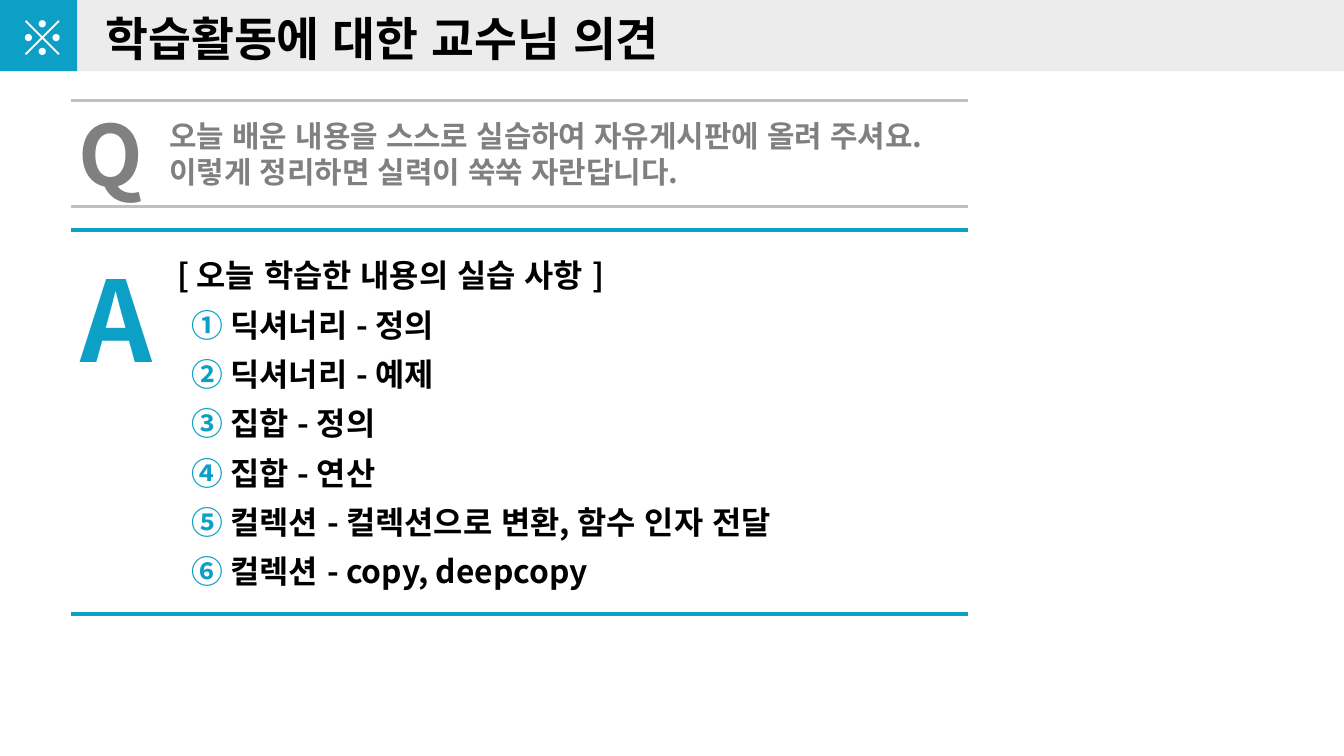
from lxml import etree
from pptx import Presentation
from pptx.dml.color import RGBColor
from pptx.enum.lang import MSO_LANGUAGE_ID
from pptx.enum.shapes import MSO_CONNECTOR, MSO_SHAPE
from pptx.enum.text import MSO_ANCHOR, MSO_AUTO_SIZE, PP_ALIGN
from pptx.oxml.ns import qn
from pptx.util import Pt

PX = 4572
FONT = "Noto Sans CJK KR"
TEAL = RGBColor(0x0C, 0xA0, 0xC7)
PALE = RGBColor(0xEC, 0xEC, 0xEC)
SILVER = RGBColor(0xBF, 0xBF, 0xBF)
GRAY = RGBColor(0x80, 0x80, 0x80)
BLACK = RGBColor(0, 0, 0)
WHITE = RGBColor(0xFF, 0xFF, 0xFF)
RECT = MSO_SHAPE.RECTANGLE
STRAIGHT = MSO_CONNECTOR.STRAIGHT
KOREAN = MSO_LANGUAGE_ID.KOREAN
TOP, MIDDLE = MSO_ANCHOR.TOP, MSO_ANCHOR.MIDDLE
LEFT, CENTER = PP_ALIGN.LEFT, PP_ALIGN.CENTER
GROW, FIXED = MSO_AUTO_SIZE.SHAPE_TO_FIT_TEXT, MSO_AUTO_SIZE.NONE

prs = Presentation()
prs.slide_width, prs.slide_height = 2000 * PX, 1125 * PX
s = prs.slides.add_slide(prs.slide_layouts[1])
title, body = s.shapes.title, s.placeholders[1]


def write(text, box, size, color, sp=None, align=LEFT, anchor=TOP, fit=GROW, numbered=False):
    x, y, w, h = [v * PX for v in box]
    if sp is None:
        sp = s.shapes.add_textbox(x, y, w, h)
    else:
        sp.left, sp.top, sp.width, sp.height = x, y, w, h
        s.shapes._spTree.append(sp._element)
    tf = sp.text_frame
    tf.word_wrap, tf.auto_size, tf.vertical_anchor = True, fit, anchor
    tf.margin_left = tf.margin_right = 28 * PX
    tf.margin_top = tf.margin_bottom = 14 * PX
    lines = text if numbered else [text]
    for i, line in enumerate(lines):
        p = tf.add_paragraph() if i else tf.paragraphs[0]
        pPr = p._p.get_or_add_pPr()
        if numbered and i:
            pPr.set("marL", str(79 * PX))
            pPr.set("indent", str(-58 * PX))
            clr = etree.SubElement(pPr, qn("a:buClr"))
            etree.SubElement(clr, qn("a:srgbClr"), val=str(TEAL))
            etree.SubElement(pPr, qn("a:buFont"), typeface=FONT)
            etree.SubElement(pPr, qn("a:buAutoNum"), type="circleNumDbPlain")
        else:
            pPr.set("marL", "0")
            pPr.set("indent", "0")
            etree.SubElement(pPr, qn("a:buNone"))
        p.alignment = align
        p.space_before = Pt(6 if i else 0)
        p.text = line
        for r in p.runs:
            r.font.name, r.font.size, r.font.bold = FONT, Pt(size), True
            r.font.language_id = KOREAN
            r.font.color.rgb = color
            ea = etree.Element(qn("a:ea"), typeface=FONT)
            r._r.rPr.find(qn("a:latin")).addnext(ea)


for x, w, color in [(114, 1886, PALE), (-2, 117, TEAL)]:
    sp = s.shapes.add_shape(RECT, x * PX, -2 * PX, w * PX, 108 * PX)
    sp.shadow.inherit = False
    sp.fill.solid()
    sp.fill.fore_color.rgb = color
    sp.line.fill.background()

for y, color, width in [(307, SILVER, 1.5), (150, SILVER, 1.5), (342, TEAL, 2.25), (914, TEAL, 2.25)]:
    rule = s.shapes.add_connector(STRAIGHT, 106 * PX, y * PX, 1440 * PX, y * PX)
    rule.line.color.rgb = color
    rule.line.width = Pt(width)
    etree.SubElement(rule._element.spPr, qn("a:effectLst"))

topics = [
    "[ 오늘 학습한 내용의 실습 사항 ]",
    "딕셔너리 - 정의",
    "딕셔너리 - 예제",
    "집합 - 정의",
    "집합 - 연산",
    "컬렉션 - 컬렉션으로 변환, 함수 인자 전달",
    "컬렉션 - copy, deepcopy",
]
question = "오늘 배운 내용을 스스로 실습하여 자유게시판에 올려 주셔요.\n이렇게 정리하면 실력이 쑥쑥 자란답니다."

write("A", (92, 359, 160, 230), 60, TEAL)
write(topics, (236, 367, 1206, 530), 17, BLACK, sp=body, numbered=True)
write("학습활동에 대한 교수님 의견", (129, 0, 1784, 112), 25, BLACK, sp=title, fit=FIXED)
write("※", (-2, -2, 132, 116), 26, WHITE, align=CENTER, fit=FIXED)
write(question, (224, 161, 1242, 136), 16, GRAY, anchor=MIDDLE)
write("Q", (89, 138, 148, 180), 45, GRAY)

prs.save("out.pptx")
